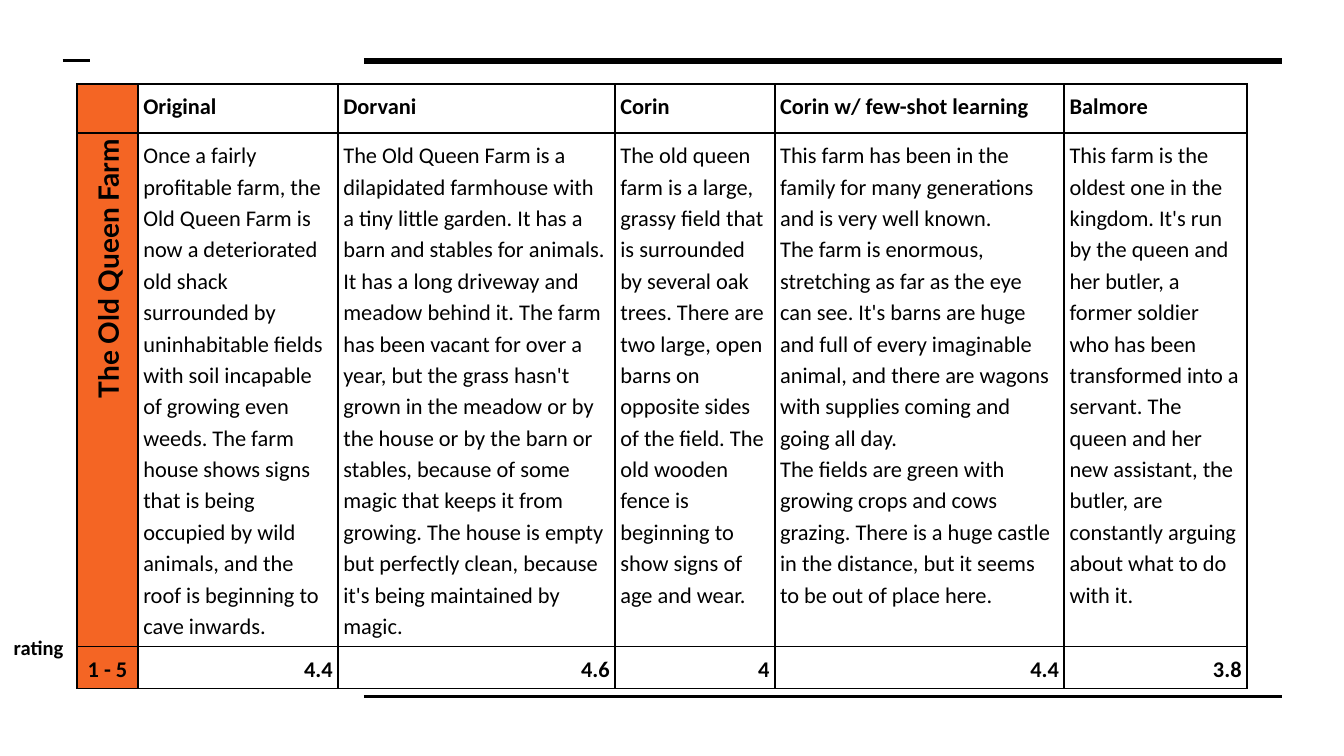
from dataclasses import dataclass

from lxml import etree
from pptx import Presentation
from pptx.dml.color import RGBColor
from pptx.enum.shapes import MSO_CONNECTOR
from pptx.enum.text import MSO_ANCHOR, MSO_AUTO_SIZE, PP_ALIGN
from pptx.oxml.ns import qn
from pptx.util import Pt

STRAIGHT = MSO_CONNECTOR.STRAIGHT
TOP, MIDDLE = MSO_ANCHOR.TOP, MSO_ANCHOR.MIDDLE
LEFT, CENTER, RIGHT = PP_ALIGN.LEFT, PP_ALIGN.CENTER, PP_ALIGN.RIGHT
GROW, FIXED = MSO_AUTO_SIZE.SHAPE_TO_FIT_TEXT, MSO_AUTO_SIZE.NONE


@dataclass(frozen=True)
class Theme:
    ink: RGBColor = RGBColor(0x00, 0x00, 0x00)
    accent: RGBColor = RGBColor(0xF4, 0x65, 0x24)
    body_font: str = "Calibri"
    title_font: str = "Lato"
    title_size: int = 15
    table_size: int = 12
    label_size: int = 11


THEME = Theme()
CELL_INSET = Pt(2.88)
COLUMN_WIDTHS = (32.6, 107.2, 148.4, 85.6, 155.1, 97.9)
ROW_HEIGHTS = (26.3, 275, 22.6)

# Model, description paragraphs, rating
DESCRIPTIONS = [
    ("Original", [
        "Once a fairly profitable farm, the Old Queen Farm is now a deteriorated "
        "old shack surrounded by uninhabitable fields with soil incapable of "
        "growing even weeds. The farm house shows signs that is being occupied by "
        "wild animals, and the roof is beginning to cave inwards."], "4.4"),
    ("Dorvani", [
        "The Old Queen Farm is a dilapidated farmhouse with a tiny little garden. "
        "It has a barn and stables for animals. It has a long driveway and meadow "
        "behind it. The farm has been vacant for over a year, but the grass hasn't "
        "grown in the meadow or by the house or by the barn or stables, because of "
        "some magic that keeps it from growing. The house is empty but perfectly "
        "clean, because it's being maintained by magic."], "4.6"),
    ("Corin", [
        "The old queen farm is a large, grassy field that is surrounded by several "
        "oak trees. There are two large, open barns on opposite sides of the field. "
        "The old wooden fence is beginning to show signs of age and wear."], "4"),
    ("Corin w/ few-shot learning", [
        "This farm has been in the family for many generations and is very well "
        "known.",
        "The farm is enormous, stretching as far as the eye can see. It's barns are "
        "huge and full of every imaginable animal, and there are wagons with "
        "supplies coming and going all day.",
        "The fields are green with growing crops and cows grazing. There is a huge "
        "castle in the distance, but it seems to be out of place here."], "4.4"),
    ("Balmore", [
        "This farm is the oldest one in the kingdom. It's run by the queen and her "
        "butler, a former soldier who has been transformed into a servant. The "
        "queen and her new assistant, the butler, are constantly arguing about what "
        "to do with it."], "3.8"),
]


def add_rule(slide, left, right, y, weight):
    rule = slide.shapes.add_connector(STRAIGHT, Pt(left), Pt(y), Pt(right), Pt(y))
    rule.line.color.rgb = THEME.ink
    rule.line.width = Pt(weight)
    etree.SubElement(rule._element.spPr, qn("a:effectLst"))


def write_paragraphs(frame, texts, font_name, size, bold, align, spacing=None):
    frame.text = "\n".join(texts)
    for paragraph in frame.paragraphs:
        paragraph.alignment = align
        paragraph.line_spacing = spacing
        for run in paragraph.runs:
            run.font.name = font_name
            run.font.size = Pt(size)
            run.font.bold = bold
            run.font.color.rgb = THEME.ink


def add_label(slide, text, box, font_name, size, align, anchor=TOP, rotation=0,
              fit=FIXED):
    label = slide.shapes.add_textbox(*(Pt(length) for length in box))
    label.rotation = rotation
    frame = label.text_frame
    frame.word_wrap = True
    frame.auto_size = fit
    frame.vertical_anchor = anchor
    frame.margin_left = frame.margin_right = Pt(7.2)
    frame.margin_top = frame.margin_bottom = Pt(7.2)
    write_paragraphs(frame, [text], font_name, size, True, align)


def add_borders(cell):
    properties = cell._tc.get_or_add_tcPr()
    for side in ("lnL", "lnR", "lnT", "lnB"):
        border = etree.SubElement(properties, qn(f"a:{side}"), w=str(Pt(1)))
        fill = etree.SubElement(border, qn("a:solidFill"))
        etree.SubElement(fill, qn("a:srgbClr"), val=str(THEME.ink))


def fill_cell(cell, texts, bold=False, align=LEFT, anchor=TOP, color=None):
    add_borders(cell)
    if color is None:
        cell.fill.background()
    else:
        cell.fill.solid()
        cell.fill.fore_color.rgb = color
    inset = CELL_INSET if texts else 0
    cell.margin_left = cell.margin_right = inset
    cell.margin_top = cell.margin_bottom = inset
    cell.vertical_anchor = anchor
    if texts:
        write_paragraphs(cell.text_frame, texts, THEME.body_font,
                         THEME.table_size, bold, align, 1.15)


def add_comparison_table(slide):
    table = slide.shapes.add_table(
        len(ROW_HEIGHTS), len(COLUMN_WIDTHS), Pt(41.3), Pt(45),
        Pt(sum(COLUMN_WIDTHS)), Pt(sum(ROW_HEIGHTS))).table
    table.first_row = table.horz_banding = False
    for column, width in zip(table.columns, COLUMN_WIDTHS):
        column.width = Pt(width)
    for row, height in zip(table.rows, ROW_HEIGHTS):
        row.height = Pt(height)

    for row, scale in enumerate(([], [], ["1 - 5"])):
        fill_cell(table.cell(row, 0), scale, True, CENTER, color=THEME.accent)
    for column, (model, description, rating) in enumerate(DESCRIPTIONS, 1):
        fill_cell(table.cell(0, column), [model], bold=True)
        fill_cell(table.cell(1, column), description)
        fill_cell(table.cell(2, column), [rating], True, RIGHT, MIDDLE)


def main():
    presentation = Presentation()
    presentation.slide_width, presentation.slide_height = Pt(720), Pt(405)
    slide = presentation.slides.add_slide(presentation.slide_layouts[6])

    add_rule(slide, 195, 687, 32.6, 3)
    add_rule(slide, 195, 687, 373, 1.5)
    add_rule(slide, 33.6, 48, 32.6, 1.5)
    add_comparison_table(slide)
    add_label(slide, "The Old Queen Farm", (-69, 178, 253.4, 32.4),
              THEME.title_font, THEME.title_size, RIGHT, rotation=270, fit=GROW)
    add_label(slide, "rating", (0, 327.6, 41.3, 38.2),
              THEME.body_font, THEME.label_size, CENTER, MIDDLE)

    presentation.save("out.pptx")


if __name__ == "__main__":
    main()
